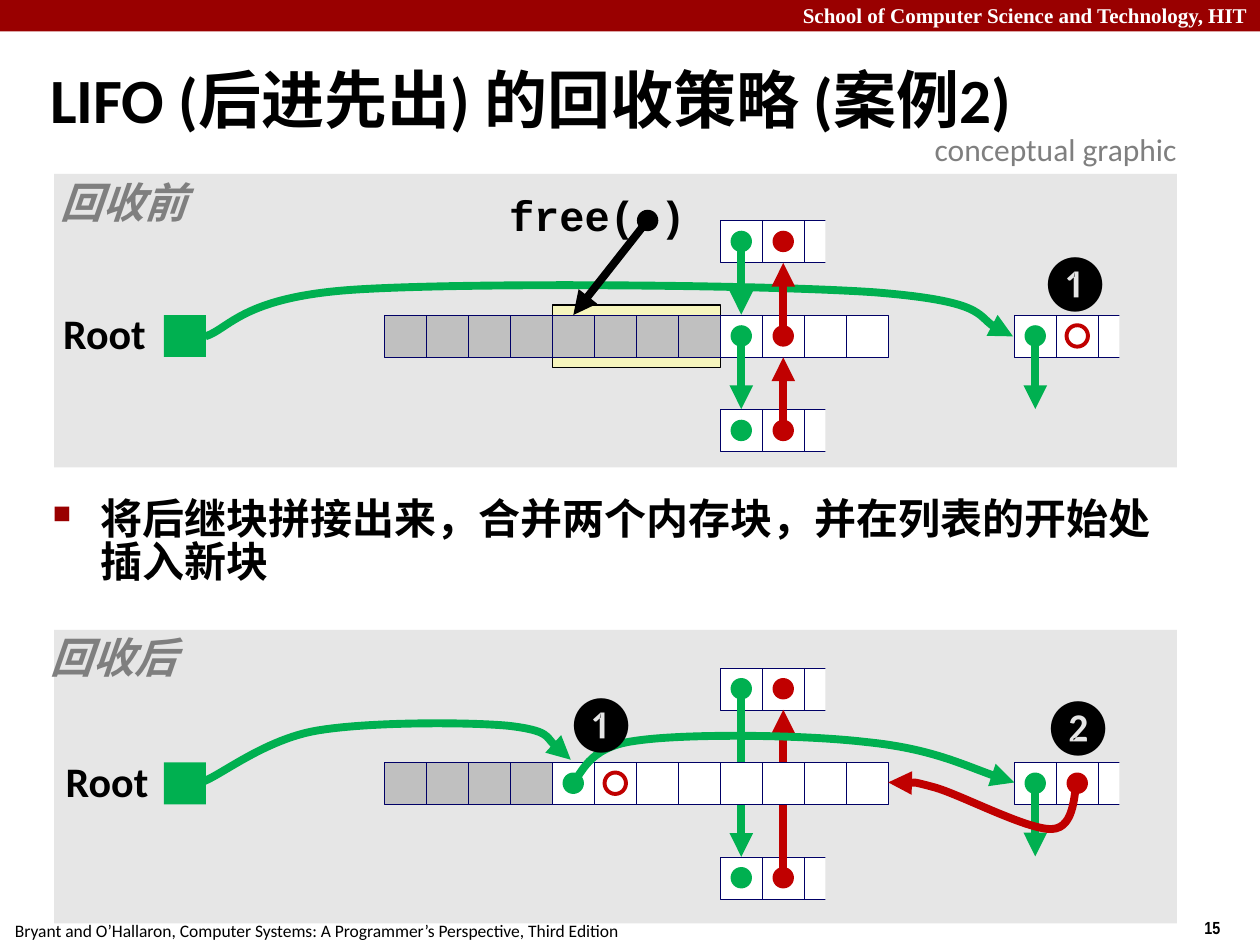
from lxml import etree
from pptx import Presentation
from pptx import util as u
from pptx.dml.color import RGBColor
from pptx.enum import shapes, text
from pptx.oxml.ns import qn

BLACK = RGBColor(0, 0, 0)
WHITE = RGBColor(255, 255, 255)
CRIMSON = RGBColor(0x99, 0, 0)
PANEL = RGBColor(0xE6, 0xE6, 0xE6)
ALLOCATED = RGBColor(0xC0, 0xC0, 0xC0)
FREED = RGBColor(0xF6, 0xF5, 0xBD)
NAVY = RGBColor(0, 0, 0x66)
GREEN = RGBColor(0, 0xB0, 0x50)
RED = RGBColor(0xC0, 0, 0)
GREY = RGBColor(0x7F, 0x7F, 0x7F)

CELL = 1 / 3
DOT = 0.17
LIST_GAP = 0.75          # row to the list blocks above and below it
BLOCK, HEAD = 8, 15      # columns of the following block and the old list head


def box(*lengths):
    return [u.Inches(length) for length in lengths]


def add_solid(slide, kind, bounds, fill=None, line=None, width=0.25):
    solid = slide.shapes.add_shape(kind, *box(*bounds))
    solid.shadow.inherit = False
    if fill is None:
        solid.fill.background()
    else:
        solid.fill.solid()
        solid.fill.fore_color.rgb = fill
    if line is None:
        solid.line.fill.background()
    else:
        solid.line.color.rgb = line
        solid.line.width = u.Pt(width)


def add_rect(slide, bounds, *paint):
    add_solid(slide, shapes.MSO_SHAPE.RECTANGLE, bounds, *paint)


def add_dot(slide, x, y, *paint):
    bounds = (x - DOT / 2, y - DOT / 2, DOT, DOT)
    add_solid(slide, shapes.MSO_SHAPE.OVAL, bounds, *paint)


def add_label(slide, words, bounds, size, color=BLACK, font="Calibri", bold=False,
              italic=False, align=None, inset=0.1, wrap=False, spacing=None):
    frame = slide.shapes.add_textbox(*box(*bounds)).text_frame
    frame.word_wrap = wrap
    frame.margin_left = frame.margin_right = u.Inches(inset)
    frame.text = words
    paragraph = frame.paragraphs[0]
    paragraph.alignment = align
    paragraph.line_spacing = spacing
    run_font = paragraph.runs[0].font
    run_font.size, run_font.name = u.Pt(size), font
    run_font.bold, run_font.italic = bold, italic
    run_font.color.rgb = color
    return frame


def add_diagram_label(slide, words, bounds, **style):
    add_label(slide, words, bounds, 24, bold=True, inset=0.05, spacing=0.9,
              align=text.PP_ALIGN.CENTER, **style)


def finish_arrow(arrow, color):
    arrow.line.color.rgb = color
    arrow.line.width = u.Pt(4.5)
    line = arrow.line._get_or_add_ln()
    etree.SubElement(line, qn("a:tailEnd"), type="triangle")


def add_arrow(slide, start, end, color):
    arrow = slide.shapes.add_connector(shapes.MSO_CONNECTOR.STRAIGHT, *box(*start, *end))
    finish_arrow(arrow, color)
    etree.SubElement(arrow._element.spPr, qn("a:effectLst"))


def add_curve(slide, origin, points, color):
    """Draw a Bezier arrow: a start, then two handles and an end per segment."""
    placed = [box(origin[0] + x, origin[1] + y) for x, y in points]
    builder = slide.shapes.build_freeform(*placed[0])
    builder.add_line_segments(placed[1:], close=False)
    curve = builder.convert_to_shape()
    curve.shadow.inherit = False
    curve.fill.background()
    finish_arrow(curve, color)
    steps = list(curve._element.iter(qn("a:lnTo")))
    outline = steps[0].getparent()
    for first in range(0, len(steps), 3):
        segment = etree.SubElement(outline, qn("a:cubicBezTo"))
        for step in steps[first:first + 3]:
            segment.append(step[0])
            outline.remove(step)


def add_cells(slide, left, top, fills):
    for column, fill in enumerate(fills):
        add_rect(slide, (left + column * CELL, top, CELL, CELL), fill, NAVY)


def add_list_block(slide, left, top):
    """Draw a block that fades out halfway through its third cell."""
    add_cells(slide, left, top, [WHITE] * 3)
    add_rect(slide, (left + 2.5 * CELL, top - CELL / 4, CELL, 1.5 * CELL), PANEL)


def column_center(row_left, column):
    return row_left + (column + 0.5) * CELL


def add_panel(slide, bounds, row_left, row_top):
    """Draw the background, root and the three list blocks."""
    add_rect(slide, bounds, PANEL)
    add_rect(slide, (row_left - 1.75, row_top, CELL, CELL), GREEN)
    for column, rise in ((BLOCK, -LIST_GAP), (BLOCK, LIST_GAP), (HEAD, 0)):
        add_list_block(slide, row_left + column * CELL, row_top + rise)


def add_head_link(slide, row_left, middle):
    head = column_center(row_left, HEAD)
    add_dot(slide, head, middle, GREEN)
    add_arrow(slide, (head, middle), (head, middle + 0.58), GREEN)


def add_before(slide, left, top, width, height):
    row_left, row_top = left + 2.62, top + 1.12
    middle = row_top + CELL / 2
    following = column_center(row_left, BLOCK)
    previous = column_center(row_left, BLOCK + 1)
    add_panel(slide, (left, top, width, height), row_left, row_top)
    add_solid(slide, shapes.MSO_SHAPE.RECTANGLE,
              (row_left + 4 * CELL, row_top - 0.08, 4 * CELL, 0.5), FREED, BLACK, 0.75)
    add_curve(slide, (row_left, row_top), [
        (-1.42, 0.17), (-1.23, 0.11), (-1.13, -0.14), (-0.25, -0.2),
        (0.64, -0.26), (3.01, -0.24), (3.89, -0.18),
        (4.76, -0.11), (4.76, 0.1), (4.99, 0.17)], GREEN)
    add_cells(slide, row_left, row_top, [ALLOCATED] * 8 + [WHITE] * 4)
    for level in (-1, 0, 1):
        y = middle + level * LIST_GAP
        add_dot(slide, following, y, GREEN)
        add_dot(slide, previous, y, RED)
        if level < 1:
            add_arrow(slide, (following, y), (following, y + 0.58), GREEN)
        if level > -1:
            add_arrow(slide, (previous, y), (previous, y - 0.58), RED)
    add_head_link(slide, row_left, middle)
    add_dot(slide, column_center(row_left, HEAD + 1), middle, None, RED, 2.25)
    add_diagram_label(slide, "free( )", (left + 3.56, top + 0.12, 1.5, 0.46),
                      font="Courier New")
    add_dot(slide, left + 4.71, top + 0.37, BLACK)
    add_arrow(slide, (left + 4.71, top + 0.37), (left + 4.12, row_top), BLACK)
    add_diagram_label(slide, "Root", (left + 0.02, top + 1.06, 0.76, 0.46))
    add_diagram_label(slide, "回收前", (left, top + 0.02, 1.1, 0.46), color=GREY, italic=True)
    add_label(slide, "❶", (left + 7.71, top + 0.53, 0.65, 0.64), 32, wrap=True)


def add_after(slide, left, top, width, height):
    row_left, row_top = left + 2.62, top + 1.05
    middle = row_top + CELL / 2
    upper, lower = middle - LIST_GAP, middle + LIST_GAP
    following = column_center(row_left, BLOCK)
    previous = column_center(row_left, BLOCK + 1)
    add_panel(slide, (left, top, width, height), row_left, row_top)
    add_arrow(slide, (following, upper), (following, lower - CELL / 2), GREEN)
    add_arrow(slide, (previous, lower), (previous, upper + CELL / 2), RED)
    add_cells(slide, row_left, row_top, [ALLOCATED] * 4 + [WHITE] * 8)
    for y in (upper, lower):
        add_dot(slide, following, y, GREEN)
        add_dot(slide, previous, y, RED)
    add_head_link(slide, row_left, middle)
    add_dot(slide, column_center(row_left, HEAD + 1), middle, RED)
    add_dot(slide, column_center(row_left, 4), middle, GREEN)
    add_dot(slide, column_center(row_left, 5), middle, None, RED, 2.25)
    add_curve(slide, (row_left, row_top), [
        (1.49, 0.16), (1.57, 0.11), (1.6, -0.12), (1.99, -0.17),
        (2.38, -0.23), (3.33, -0.22), (3.83, -0.16),
        (4.33, -0.11), (4.76, 0.09), (5, 0.16)], GREEN)
    add_curve(slide, (row_left, row_top), [
        (5.5, 0.16), (5.47, 0.22), (5.49, 0.52), (5.3, 0.53),
        (5.11, 0.54), (4.58, 0.26), (4.37, 0.2),
        (4.15, 0.14), (4.08, 0.17), (4, 0.16)], RED)
    add_curve(slide, (row_left, row_top), [
        (-1.43, 0.15), (-1.28, 0.09), (-0.94, -0.18), (-0.54, -0.25),
        (-0.14, -0.32), (0.64, -0.32), (0.98, -0.29),
        (1.32, -0.25), (1.38, -0.08), (1.48, -0.02)], GREEN)
    add_diagram_label(slide, "Root", (left + 0.04, top + 0.99, 0.76, 0.46))
    add_diagram_label(slide, "回收后", (left - 0.08, top + 0.01, 1.1, 0.46),
                      color=GREY, italic=True)
    add_label(slide, "❶", (left + 3.95, top + 0.41, 0.65, 0.64), 32, wrap=True)
    add_label(slide, "❷", (left + 7.74, top + 0.43, 0.65, 0.64), 32, wrap=True)


def add_header_and_footer(slide, width):
    add_rect(slide, (0, 0, width, 0.25), CRIMSON)
    add_label(slide, "School of Computer Science and Technology, HIT", (0, -0.03, width, 0.3),
              12, WHITE, "Times New Roman", bold=True, align=text.PP_ALIGN.RIGHT, wrap=True)
    add_label(slide, "Bryant and O’Hallaron, Computer Systems: "
              "A Programmer’s Perspective, Third Edition", (0.02, 7.25, 5.01, 0.27), 10)
    add_label(slide, "15", (9.46, 7.23, 0.75, 0.27), 10, font="Arial Narrow", bold=True)


def add_title(slide, *bounds):
    title = add_label(slide, "LIFO (后进先出) 的回收策略 (案例2)", bounds, 36,
                      bold=True, wrap=True, spacing=0.87)
    title.vertical_anchor = text.MSO_ANCHOR.MIDDLE
    indent = title.paragraphs[0]._p.get_or_add_pPr()
    indent.set("marL", str(u.Inches(0.13)))
    indent.set("indent", str(-u.Inches(0.13)))


def add_summary(slide, *bounds):
    summary = add_label(slide, "将后继块拼接出来，合并两个内存块，并在列表的开始处插入新块",
                        bounds, 24, bold=True, wrap=True, spacing=0.85)
    bullet = summary.paragraphs[0]._p.get_or_add_pPr()
    bullet.set("marL", str(u.Inches(0.38)))
    bullet.set("indent", str(-u.Inches(0.38)))
    bullet_color = etree.SubElement(bullet, qn("a:buClr"))
    etree.SubElement(bullet_color, qn("a:srgbClr"), val=str(CRIMSON))
    etree.SubElement(bullet, qn("a:buSzPct"), val="60000")
    etree.SubElement(bullet, qn("a:buChar"), char="■")


def main():
    deck = Presentation()
    deck.slide_width, deck.slide_height = box(10, 7.5)
    slide = deck.slides.add_slide(deck.slide_layouts[6])
    add_before(slide, 0.43, 1.38, 8.91, 2.33)
    add_after(slide, 0.43, 5, 8.91, 2.33)
    add_header_and_footer(slide, 10)
    add_title(slide, 0.3, 0.39, 9.53, 0.86)
    add_label(slide, "conceptual graphic", (7.32, 0.98, 2.13, 0.4), 18, GREY)
    add_summary(slide, 0.32, 3.92, 9.09, 0.86)
    deck.save("out.pptx")


if __name__ == "__main__":
    main()
